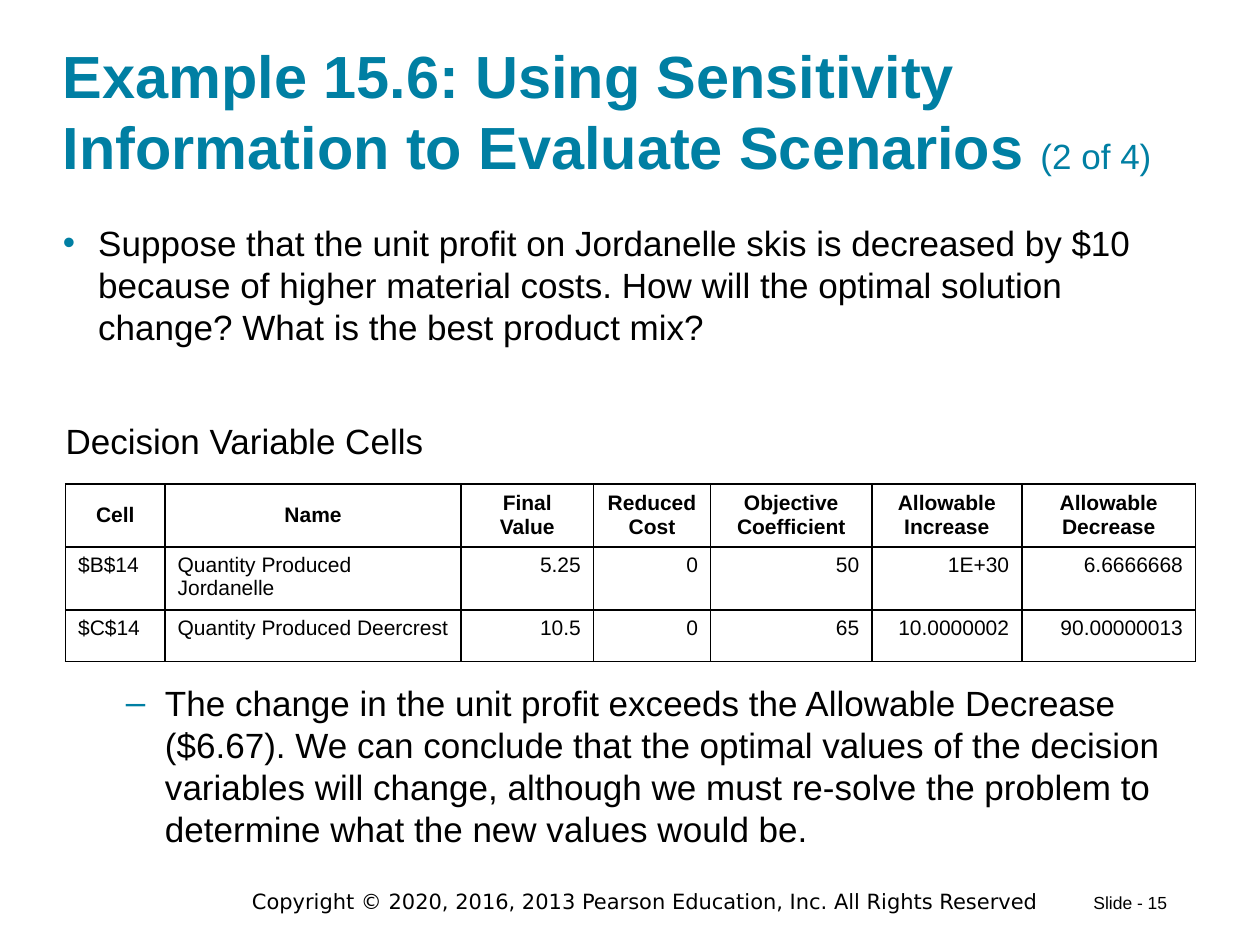
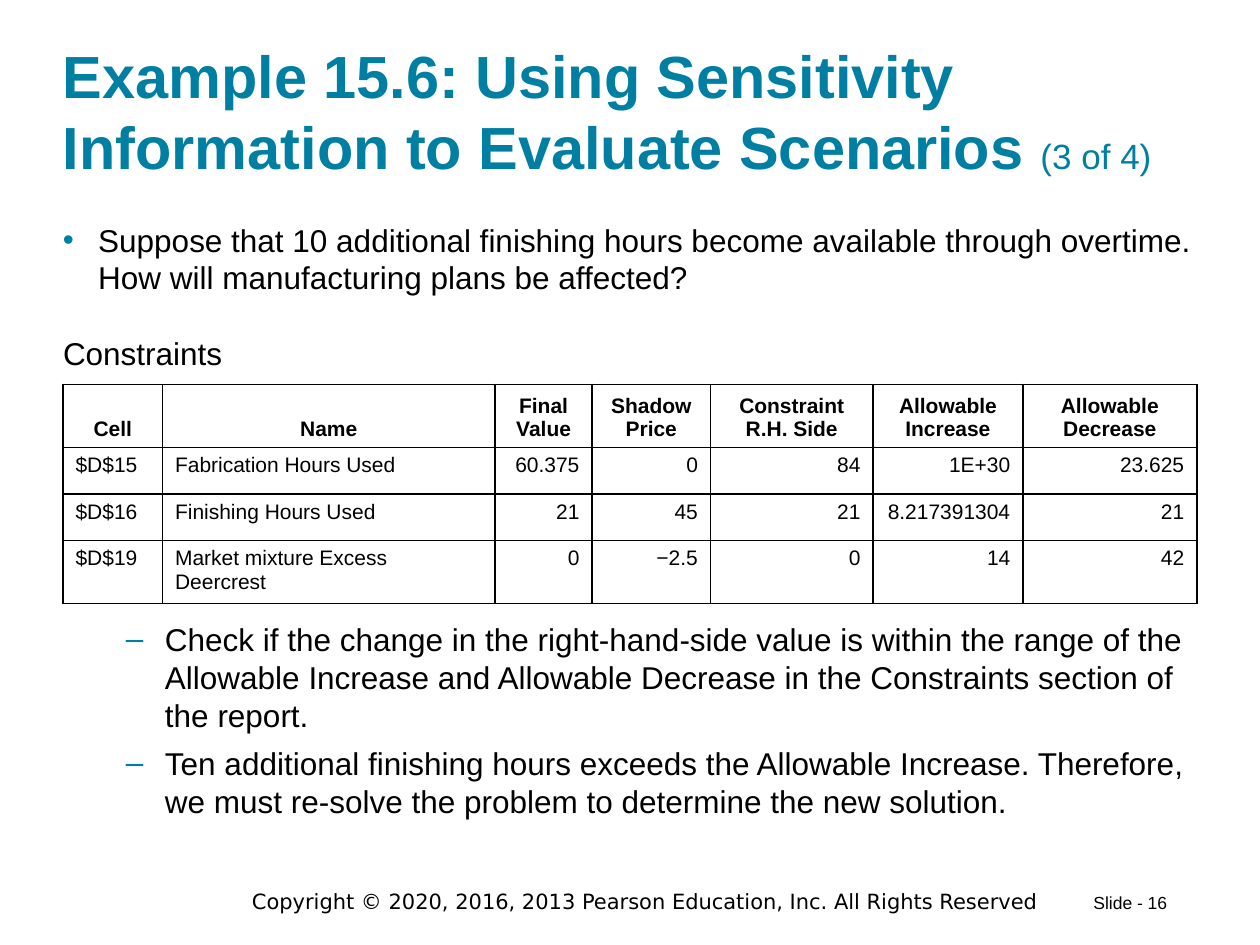
from lxml.etree import SubElement as Sub
from pptx import Presentation
from pptx.dml.color import RGBColor
from pptx.enum.text import MSO_ANCHOR as Anchor, PP_ALIGN as Align
from pptx.oxml.ns import qn
from pptx.util import Inches, Pt

TEAL, BLACK = "007FA3", "000000"
TITLE = "Example 15.6: Using Sensitivity Information to Evaluate Scenarios "
RIGHTS = "Copyright © 2020, 2016, 2013 Pearson Education, Inc. All Rights Reserved"
LEFT, WIDE = 0.5, 9.04

PAGES = [
    dict(
        num=15, part="(2 of 4)", size=20, anchor=Anchor.MIDDLE,
        ask="Suppose that the unit profit on Jordanelle skis is decreased by $10 because of "
            "higher material costs. How will the optimal solution change? What is the best "
            "product mix?",
        ask_at=(LEFT, 1.76, WIDE, 1.24),
        label="Decision Variable Cells", label_at=(0.52, 3.33, 3.09, 0.34),
        grid_at=(0.52, 3.84),
        cols=[0.79, 2.35, 1.05, 0.93, 1.28, 1.19, 1.38],
        rows=[0.41, 0.41, 0.41],
        cells=[
            ["Cell", "Name", "Final Value", "Reduced Cost", "Objective Coefficient",
             "Allowable Increase", "Allowable Decrease"],
            ["$B$14", "Quantity Produced Jordanelle", "5.25", "0", "50", "1E+30", "6.6666668"],
            ["$C$14", "Quantity Produced Deercrest", "10.5", "0", "65", "10.0000002",
             "90.00000013"],
        ],
        notes=[
            "The change in the unit profit exceeds the Allowable Decrease ($6.67). We can "
            "conclude that the optimal values of the decision variables will change, although "
            "we must re-solve the problem to determine what the new values would be.",
        ],
        notes_at=(LEFT, 5.41, WIDE, 1.43),
    ),
    dict(
        num=16, part="(3 of 4)", size=18, anchor=Anchor.BOTTOM,
        ask="Suppose that 10 additional finishing hours become available through overtime. "
            "How will manufacturing plans be affected?",
        ask_at=(LEFT, 1.75, WIDE, 0.85),
        label="Constraints", label_at=(LEFT, 2.65, 1.55, 0.34),
        grid_at=(LEFT, 3.05),
        cols=[0.79, 2.64, 0.77, 0.94, 1.29, 1.19, 1.38],
        rows=[0.49, 0.37, 0.37, 0.37],
        cells=[
            ["Cell", "Name", "Final Value", "Shadow Price", "Constraint R.H. Side",
             "Allowable Increase", "Allowable Decrease"],
            ["$D$15", "Fabrication Hours Used", "60.375", "0", "84", "1E+30", "23.625"],
            ["$D$16", "Finishing Hours Used", "21", "45", "21", "8.217391304", "21"],
            ["$D$19", "Market mixture Excess Deercrest", "0", "−2.5", "0", "14", "42"],
        ],
        notes=[
            "Check if the change in the right-hand-side value is within the range of the "
            "Allowable Increase and Allowable Decrease in the Constraints section of the report.",
            "Ten additional finishing hours exceeds the Allowable Increase. Therefore, we must "
            "re-solve the problem to determine the new solution.",
        ],
        notes_at=(LEFT, 4.92, WIDE, 1.79),
    ),
]


def box(slide, at, inset=(0, 0, 0, 0), anchor=Anchor.TOP):
    """Add a wrapping text box and return its text frame."""
    frame = slide.shapes.add_textbox(*map(Inches, at)).text_frame
    frame.word_wrap = True
    frame.vertical_anchor = anchor
    (frame.margin_left, frame.margin_top,
     frame.margin_right, frame.margin_bottom) = map(Inches, inset)
    return frame


def write(para, text, size=12, font="Arial", color=BLACK, bold=False, align=Align.LEFT,
          lead=None, before=0, mark=None, indent=(0, 0)):
    """Add a run to a paragraph; lead is the line pitch in points, mark the bullet."""
    para.alignment = align
    para.space_before = Pt(before)
    if lead:
        para.line_spacing = Pt(lead)
    if mark:
        props = para._p.get_or_add_pPr()
        props.set("marL", str(Inches(indent[0])))
        props.set("indent", str(Inches(indent[1])))
        Sub(Sub(props, qn("a:buClr")), qn("a:srgbClr"), val=TEAL)
        Sub(props, qn("a:buFont"), typeface="Arial")
        Sub(props, qn("a:buChar"), char=mark)
    run = para.add_run()
    run.text = text
    run.font.name, run.font.size, run.font.bold = font, Pt(size), bold
    run.font.color.rgb = RGBColor.from_string(color)


deck = Presentation()
deck.slide_width, deck.slide_height = Inches(10), Inches(7.5)

for page in PAGES:
    slide = deck.slides.add_slide(deck.slide_layouts[6])
    size = page["size"]
    lead = size * 1.2

    # Footer and title
    pad = (0.1, 0.05, 0.1, 0.05)
    foot = box(slide, (1.83, 7, 6.58, 0.3), pad)
    write(foot.paragraphs[0], RIGHTS, font="DejaVu Sans", align=Align.CENTER)
    foot = box(slide, (8.58, 7.03, 0.81, 0.27), pad)
    write(foot.paragraphs[0], f"Slide - {page['num']}", size=10)
    head = box(slide, (LEFT, 0.24, WIDE, 1.2), (0, 0.1, 0, 0), Anchor.BOTTOM).paragraphs[0]
    write(head, TITLE, size=34, color=TEAL, bold=True, lead=40.8)
    write(head, page["part"], size=20, color=TEAL, lead=40.8)

    # Question and table label
    ask = box(slide, page["ask_at"]).paragraphs[0]
    write(ask, page["ask"], size=size, lead=lead, mark="•", indent=(0.28, -0.28))
    label = box(slide, page["label_at"]).paragraphs[0]
    write(label, page["label"], size=size, lead=lead)

    # Sensitivity table
    cols, rows = page["cols"], page["rows"]
    area = (*page["grid_at"], sum(cols), sum(rows))
    grid = slide.shapes.add_table(len(rows), len(cols), *map(Inches, area)).table
    grid.first_row = grid.horz_banding = False
    for col, width in zip(grid.columns, cols):
        col.width = Inches(width)
    for r, (height, line) in enumerate(zip(rows, page["cells"])):
        grid.rows[r].height = Inches(height)
        for c, text in enumerate(line):
            cell = grid.cell(r, c)
            top = r == 0
            align = Align.CENTER if top else Align.LEFT if c < 2 else Align.RIGHT
            cell.vertical_anchor = page["anchor"] if top else Anchor.TOP
            write(cell.text_frame.paragraphs[0], text, bold=top, align=align)
            props = cell._tc.get_or_add_tcPr()
            for side in ("lnL", "lnR", "lnT", "lnB"):
                edge = Sub(props, qn(f"a:{side}"), w=str(Pt(1)))
                Sub(Sub(edge, qn("a:solidFill")), qn("a:srgbClr"), val=BLACK)
            cell.fill.background()

    # Conclusions
    frame = box(slide, page["notes_at"])
    for i, note in enumerate(page["notes"]):
        para = frame.add_paragraph() if i else frame.paragraphs[0]
        write(para, note, size=size, lead=lead, before=6 if i else 0,
              mark="–", indent=(0.81, -0.31))

deck.save("out.pptx")
